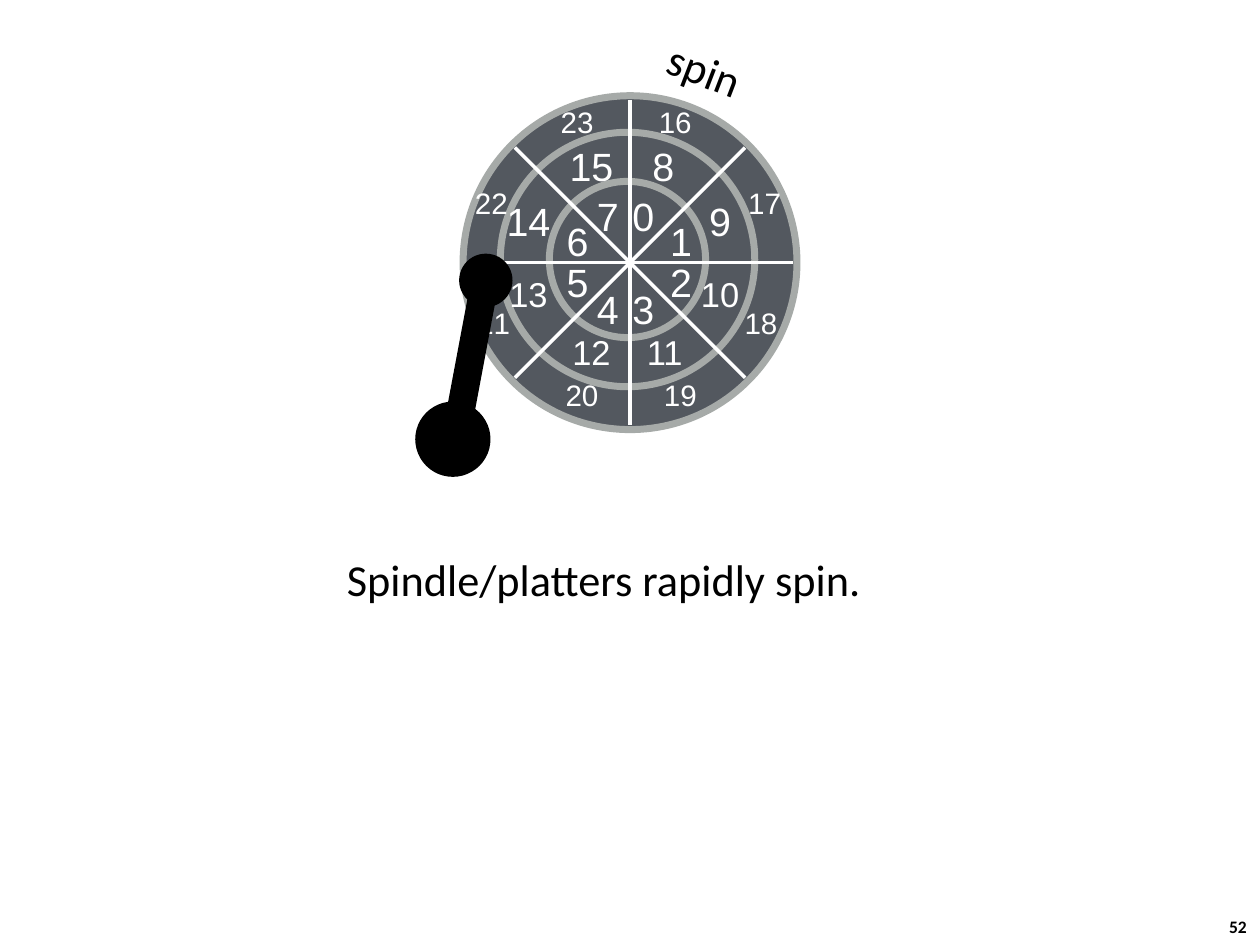
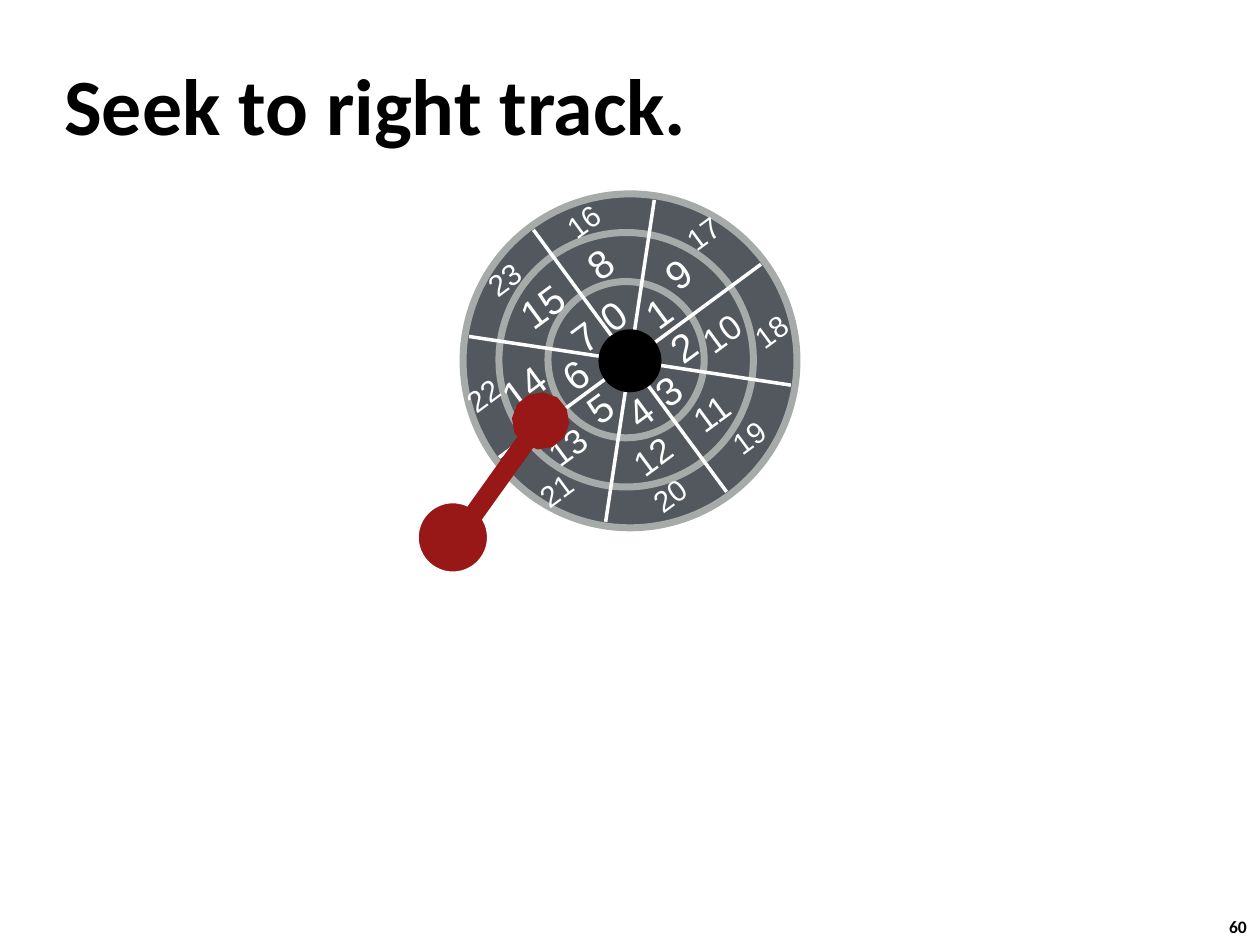
from math import cos, radians, sin

from lxml import etree
from pptx import Presentation
from pptx.dml.color import RGBColor
from pptx.enum.shapes import MSO_CONNECTOR, MSO_SHAPE
from pptx.enum.text import MSO_ANCHOR, MSO_AUTO_SIZE, PP_ALIGN
from pptx.oxml.ns import qn
from pptx.util import Pt

OVAL = MSO_SHAPE.OVAL
STRAIGHT = MSO_CONNECTOR.STRAIGHT
MIDDLE = MSO_ANCHOR.MIDDLE
LEFT, CENTER = PP_ALIGN.LEFT, PP_ALIGN.CENTER
NO_FIT = MSO_AUTO_SIZE.NONE

BLACK = RGBColor(0, 0, 0)
WHITE = RGBColor(255, 255, 255)
PLATTER = RGBColor(0x53, 0x58, 0x5F)
TRACK = RGBColor(0xA6, 0xAA, 0xA8)
RED = RGBColor(0x97, 0x18, 0x17)

HUB_X = 360
SPOKE = 93
RINGS = [(0, 0, 190.8), (-1.4, -1.8, 145.4), (-1.4, -1.8, 89.3)]
SECTORS = [
    (7.6, -27), (29.2, -12.6), (29.2, 11.2), (7.6, 26.3),
    (-12.6, 26.3), (-29.9, 11.2), (-29.9, -12.6), (-12.6, -27),
    (19.1, -55.1), (51.5, -24.1), (51.5, 18), (19.8, 51.1),
    (-22, 51.1), (-58, 18), (-58, -24.1), (-22, -55.1),
    (25.9, -80.3), (77, -34.2), (74.9, 34.2), (28.8, 75.2),
    (-27.4, 75.2), (-77.8, 34.2), (-79.2, -34.2), (-30.2, -80.3),
]


def add_oval(s, cx, cy, size, fill, line=None, width=0):
    sp = s.shapes.add_shape(OVAL, Pt(cx - size / 2), Pt(cy - size / 2), Pt(size), Pt(size))
    sp.shadow.inherit = False
    sp.fill.solid()
    sp.fill.fore_color.rgb = fill
    if line is None:
        sp.line.fill.background()
    else:
        sp.line.color.rgb = line
        sp.line.width = Pt(width)


def add_line(s, x1, y1, x2, y2, color, width):
    ln = s.shapes.add_connector(STRAIGHT, Pt(x1), Pt(y1), Pt(x2), Pt(y2))
    ln.line.color.rgb = color
    ln.line.width = Pt(width)
    etree.SubElement(ln._element.spPr, qn("a:effectLst"))
    return ln


prs = Presentation()
prs.slide_width, prs.slide_height = Pt(720), Pt(540)
spin_slide = prs.slides.add_slide(prs.slide_layouts[6])
seek_slide = prs.slides.add_slide(prs.slide_layouts[5])

captions = [
    ("spin", 402.8, 39.6, 60, 25.3, "Calibri", BLACK, False, 21.1),
    ("Spindle/platters rapidly spin.", 345, 330.5, 310, 25.3, "Calibri", BLACK, False, 0),
]

for s, number, hub_y, turn, extra in [
    (spin_slide, "52", 150.1, 0, captions),
    (seek_slide, "60", 206.2, -36.4, []),
]:
    c, n = cos(radians(turn)), sin(radians(turn))

    for dx, dy, size in RINGS:
        add_oval(s, HUB_X + dx * c - dy * n, hub_y + dx * n + dy * c, size, PLATTER, TRACK, 4)

    for angle in range(0, 180, 45):
        dx = SPOKE * cos(radians(angle + turn))
        dy = SPOKE * sin(radians(angle + turn))
        add_line(s, HUB_X - dx, hub_y - dy, HUB_X + dx, hub_y + dy, WHITE, 2)

    if s is seek_slide:
        add_oval(s, HUB_X, hub_y, 36, BLACK)

    texts = [(number, 707.4, 529.7, 27, 10, "Calibri", BLACK, True, 0)]
    for i, (dx, dy) in enumerate(SECTORS):
        size = 16.9 if i >= 16 else 19.7 if 10 <= i <= 13 else 22.5
        texts.append((str(i), HUB_X + dx * c - dy * n, hub_y + dx * n + dy * c,
                      18 if i < 10 else size + 14, size, "Arial", WHITE, False, turn))

    for text, cx, cy, w, size, font, color, bold, rotation in texts + extra:
        h = size * 1.2 + 6
        tb = s.shapes.add_textbox(Pt(cx - w / 2), Pt(cy - h / 2), Pt(w), Pt(h))
        tb.rotation = rotation
        tf = tb.text_frame
        tf.margin_left = tf.margin_right = tf.margin_top = tf.margin_bottom = Pt(2)
        tf.word_wrap = False
        tf.vertical_anchor = MIDDLE
        tf.text = text
        p = tf.paragraphs[0]
        p.alignment = CENTER
        r = p.runs[0]
        r.font.name = font
        r.font.size = Pt(size)
        r.font.bold = bold
        r.font.color.rgb = color

add_oval(spin_slide, 258.8, 251, 41, BLACK, BLACK, 2)
add_oval(spin_slide, 277.6, 160.2, 29.5, BLACK, BLACK, 1)
add_line(spin_slide, 260, 252, 276.5, 164.2, BLACK, 16)

arc = []
for step in range(13):
    t = step / 12
    weights = (1 - t) ** 3, 3 * t * (1 - t) ** 2, 3 * t ** 2 * (1 - t), t ** 3
    x = sum(a * b for a, b in zip(weights, (327.6, 341.3, 356.4, 374.4)))
    y = sum(a * b for a, b in zip(weights, (36, 23.8, 21.6, 31)))
    arc.append((Pt(x), Pt(y)))
builder = spin_slide.shapes.build_freeform(*arc[0])
builder.add_line_segments(arc[1:], close=False)
spin_arrow = builder.convert_to_shape()
spin_arrow.shadow.inherit = False
spin_arrow.fill.background()
spin_arrow.line.color.rgb = WHITE
spin_arrow.line.width = Pt(3)
etree.SubElement(spin_arrow._element.spPr.find(qn("a:ln")), qn("a:headEnd"), type="triangle")

title = seek_slide.shapes.title
title.left, title.top, title.width, title.height = Pt(29.5), Pt(29.5), Pt(597.6), Pt(59.8)
tf = title.text_frame
tf.auto_size = NO_FIT
tf.vertical_anchor = MIDDLE
tf.text = "Seek to right track."
p = tf.paragraphs[0]
p.alignment = LEFT
r = p.runs[0]
r.font.name = "Calibri"
r.font.size = Pt(45.6)
r.font.bold = True
r.font.color.rgb = BLACK

add_oval(seek_slide, 258.8, 307.1, 41, RED, WHITE, 2)
arm = add_line(seek_slide, 260, 308.9, 308.9, 240.5, RED, 11)
etree.SubElement(arm._element.spPr.find(qn("a:ln")), qn("a:tailEnd"), type="oval")

prs.save("out.pptx")
